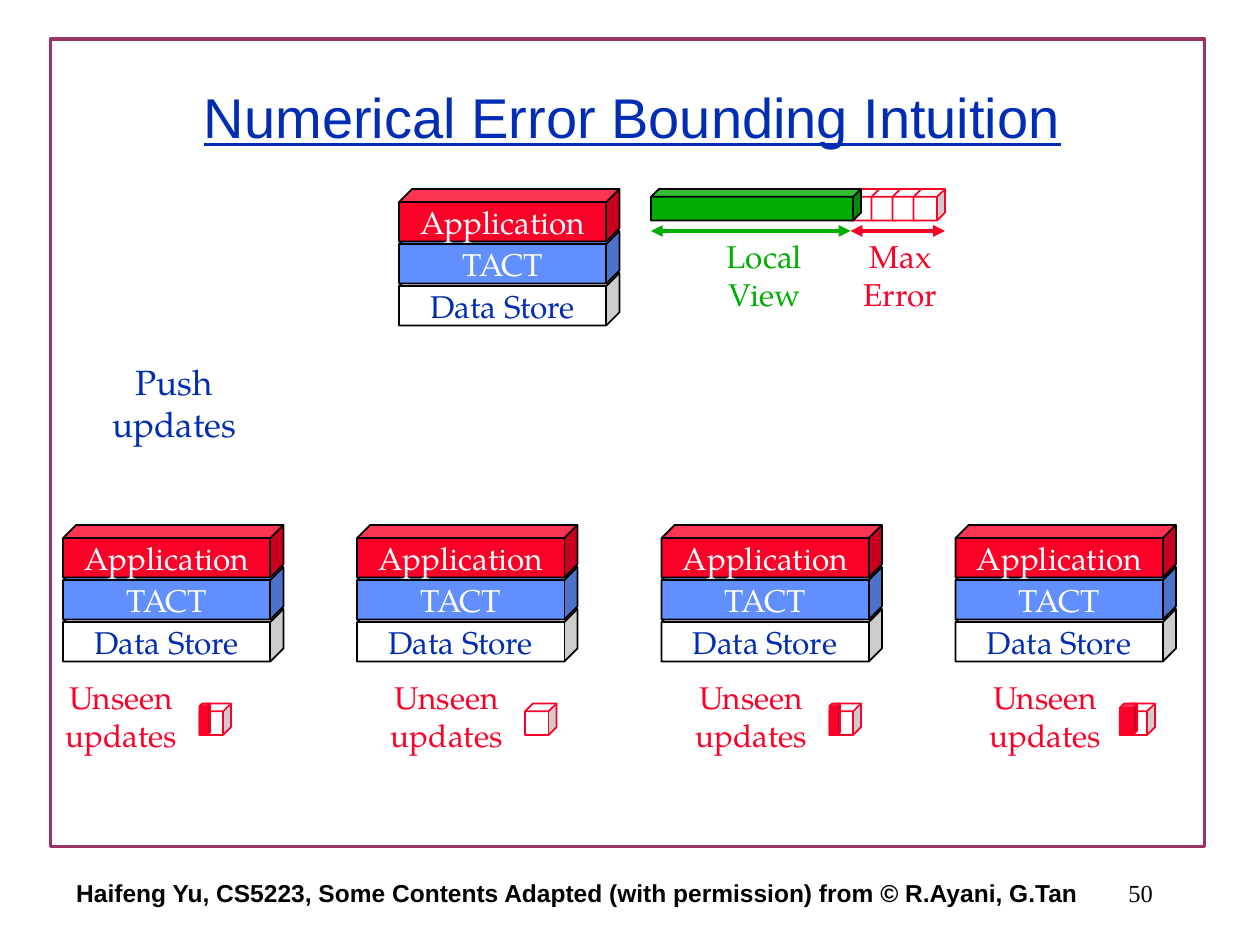
from dataclasses import dataclass

from lxml import etree
from pptx import Presentation
from pptx.dml.color import RGBColor
from pptx.enum.shapes import MSO_CONNECTOR, MSO_SHAPE
from pptx.enum.text import MSO_ANCHOR, MSO_AUTO_SIZE, PP_ALIGN
from pptx.oxml.ns import qn
from pptx.util import Inches, Pt

CUBE, RECTANGLE = MSO_SHAPE.CUBE, MSO_SHAPE.RECTANGLE
STRAIGHT = MSO_CONNECTOR.STRAIGHT
MIDDLE, TOP = MSO_ANCHOR.MIDDLE, MSO_ANCHOR.TOP
CENTER, RIGHT = PP_ALIGN.CENTER, PP_ALIGN.RIGHT
GROW, FIXED = MSO_AUTO_SIZE.SHAPE_TO_FIT_TEXT, MSO_AUTO_SIZE.NONE


@dataclass(frozen=True)
class Theme:
    """Colours, fonts and type sizes of the slide."""
    blue: str = "002DB4"
    sky: str = "618FFD"
    red: str = "FC0128"
    green: str = "00AE00"
    plum: str = "993366"
    white: str = "FFFFFF"
    black: str = "000000"
    heading_font: str = "Arial"
    body_font: str = "TeX Gyre Pagella"
    number_font: str = "Times New Roman"
    title_size: int = 32
    note_size: int = 20
    label_size: int = 18
    footer_size: int = 14


THEME = Theme()
LAYERS = (("Application", THEME.red, THEME.white),
          ("TACT", THEME.sky, THEME.white),
          ("Data Store", THEME.white, THEME.blue))
REPLICAS = ((6, 5, 0, 1), (34, 36, 0, 0), (63, 65, 0, 1), (91, 93, -0.36, 1.68))


def grid(*cells):
    """Turn grid columns and rows, twelve to the inch, into lengths."""
    return [Inches(cell / 12) for cell in cells]


def write(frame, text, size, font, color, align=CENTER, anchor=TOP,
          wrap=False, bold=None, underline=None):
    """Write one paragraph, a run for each line."""
    frame.word_wrap = wrap
    frame.vertical_anchor = anchor
    paragraph = frame.paragraphs[0]
    paragraph.alignment = align
    for index, line in enumerate(text.split("\n")):
        if index:
            paragraph.add_line_break()
        run = paragraph.add_run()
        run.text = line
        run.font.size = Pt(size)
        run.font.name = font
        run.font.bold = bold
        run.font.underline = underline
        run.font.color.rgb = RGBColor.from_string(color)


def add_label(shapes, box, text, color, size=THEME.label_size):
    """Add a centred body label that grows with its text."""
    frame = shapes.add_textbox(*grid(*box)).text_frame
    frame.auto_size = GROW
    write(frame, text, size, THEME.body_font, color)


def add_cube(shapes, box, fill, line):
    """Add a flat coloured cube."""
    cube = shapes.add_shape(CUBE, *grid(*box))
    cube.adjustments[0] = 0.25
    cube.shadow.inherit = False
    cube.fill.solid()
    cube.fill.fore_color.rgb = RGBColor.from_string(fill)
    cube.line.color.rgb = RGBColor.from_string(line)
    cube.line.width = Pt(1)
    return cube


def add_span(shapes, start, end, row, color):
    """Add a horizontal arrow with a head at both ends."""
    span = shapes.add_connector(STRAIGHT, *grid(start, row, end, row))
    span.line.color.rgb = RGBColor.from_string(color)
    span.line.width = Pt(2.25)
    outline = span.line._get_or_add_ln()
    for end_tag in ("a:headEnd", "a:tailEnd"):
        etree.SubElement(outline, qn(end_tag), type="triangle")
    etree.SubElement(span._element.spPr, qn("a:effectLst"))


def add_stack(shapes, left, top):
    """Stack the system layers from the bottom up in one group."""
    stack = shapes.add_group_shape().shapes
    for level, (name, fill, color) in reversed(list(enumerate(LAYERS))):
        layer = add_cube(stack, (left, top + 4 * level, 21, 5), fill, THEME.black)
        write(layer.text_frame, name, THEME.label_size, THEME.body_font,
              color, anchor=MIDDLE)


def add_error_bar(shapes, left, top):
    """Show the local view followed by the allowed error."""
    boundary, end = left + 19, left + 28
    for step in range(4):
        add_cube(shapes, (boundary + 2 * step, top, 3, 3), THEME.white, THEME.red)
    add_span(shapes, boundary, end, top + 4, THEME.red)
    add_label(shapes, (boundary, top + 4, 9.5, 8.4), "Max\nError", THEME.red)
    add_cube(shapes, (left, top, 20, 3), THEME.green, THEME.black)
    add_span(shapes, left, boundary, top + 4, THEME.green)
    add_label(shapes, (left + 6, top + 4, 9.6, 8.4), "Local\nView", THEME.green)


def add_unseen(shapes, left, top, shift, seen):
    """Label the unseen updates and fill the given part of their cube."""
    add_label(shapes, (left, top, 13.1, 8.4), "Unseen\nupdates", THEME.red)
    add_cube(shapes, (left + 14, top + 3, 3, 3), THEME.white, THEME.red)
    if seen:
        add_cube(shapes, (left + 14 + shift, top + 3, seen, 3), THEME.red, THEME.red)


def add_frame(shapes, box):
    """Draw the border around the content."""
    border = shapes.add_shape(RECTANGLE, *map(Inches, box))
    border.shadow.inherit = False
    border.fill.background()
    border.line.color.rgb = RGBColor.from_string(THEME.plum)
    border.line.width = Pt(2)


def add_title(shapes, box):
    """Move the title placeholder and write the heading."""
    title = shapes.title
    title.left, title.top, title.width, title.height = map(Inches, box)
    title.text_frame.auto_size = FIXED
    write(title.text_frame, "Numerical Error Bounding Intuition",
          THEME.title_size, THEME.heading_font, THEME.blue,
          anchor=MIDDLE, wrap=True, underline=True)


def add_footer(shapes, top):
    """Write the slide number and the credit line."""
    number = shapes.add_textbox(*grid(86, top, 25, 6))
    write(number.text_frame, "50", THEME.footer_size, THEME.number_font,
          THEME.black, align=RIGHT, anchor=MIDDLE)
    credit = shapes.add_textbox(*grid(4, top, 102, 6))
    write(credit.text_frame,
          "Haifeng Yu, CS5223, Some Contents Adapted (with permission) "
          "from © R.Ayani, G.Tan", THEME.footer_size, THEME.heading_font,
          THEME.black, anchor=MIDDLE, bold=True)


def main():
    """Build and save the slide."""
    deck = Presentation()
    deck.slide_width, deck.slide_height = Inches(10), Inches(7.5)
    shapes = deck.slides.add_slide(deck.slide_layouts[5]).shapes
    add_frame(shapes, (0.4, 0.31, 9.16, 6.41))
    add_footer(shapes, 82)
    add_title(shapes, (0.77, 0.46, 8.5, 0.92))
    add_stack(shapes, 38, 18)
    add_error_bar(shapes, 62, 18)
    add_label(shapes, (5.4, 33.7, 22.4, 5.2), "Push updates", THEME.blue,
              THEME.note_size)
    for stack_left, label_left, shift, seen in REPLICAS:
        add_stack(shapes, stack_left, 50)
        add_unseen(shapes, label_left, 64, shift, seen)
    deck.save("out.pptx")


if __name__ == "__main__":
    main()
